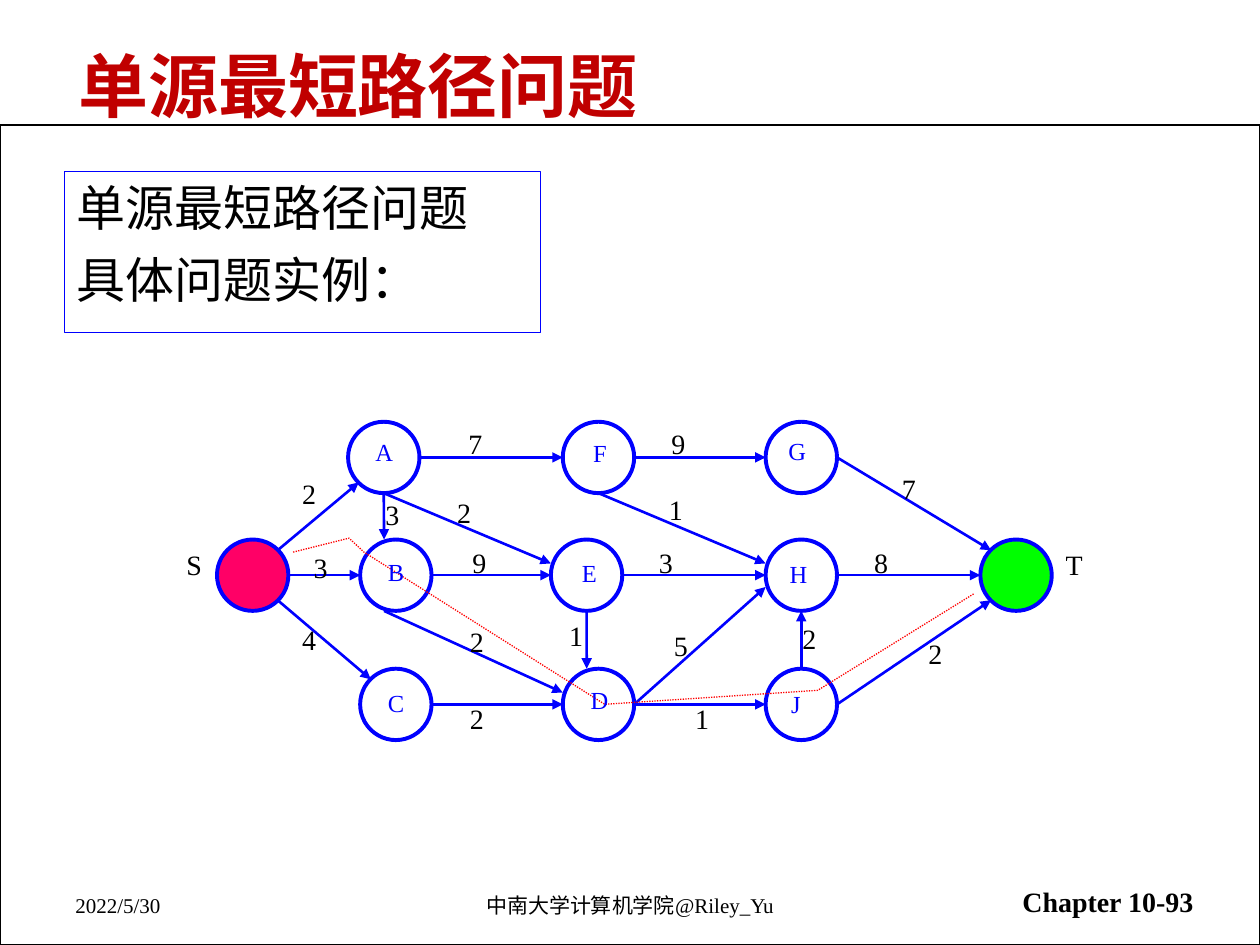
from lxml.etree import SubElement
from pptx import Presentation
from pptx.dml.color import RGBColor
from pptx.enum.dml import MSO_LINE
from pptx.enum.shapes import MSO_CONNECTOR, MSO_SHAPE
from pptx.enum.text import MSO_ANCHOR as ANCHOR, MSO_AUTO_SIZE as AUTO, PP_ALIGN as ALIGN
from pptx.oxml.ns import qn
from pptx.util import Pt

SERIF = "Times New Roman"
BLUE, BLACK = "0000FF", "000000"


def rgb(color):
    return RGBColor.from_string(color)


def add_label(text, left, top, width, height, size, color=BLACK, align=ALIGN.LEFT,
              anchor=ANCHOR.TOP, bold=False, wrap=True):
    box = slide.shapes.add_textbox(Pt(left), Pt(top), Pt(width), Pt(height))
    frame = box.text_frame
    frame.auto_size = AUTO.NONE
    frame.word_wrap = wrap
    frame.vertical_anchor = anchor
    paragraph = frame.paragraphs[0]
    paragraph.text = text
    paragraph.alignment = align
    font = paragraph.font
    font.name, font.size, font.bold = SERIF, Pt(size), bold
    font.color.rgb = rgb(color)


prs = Presentation()
prs.slide_width, prs.slide_height = Pt(720), Pt(540)
slide = prs.slides.add_slide(prs.slide_layouts[5])

# Title and the frame behind everything
title = slide.shapes.title
title.left, title.top, title.width, title.height = Pt(37.5), Pt(20), Pt(612), Pt(57)
title.text_frame.text = "单源最短路径问题"
title.text_frame.vertical_anchor = ANCHOR.MIDDLE
title.text_frame.auto_size = AUTO.NONE
heading = title.text_frame.paragraphs[0]
heading.alignment = ALIGN.LEFT
heading.font.name, heading.font.size, heading.font.bold = SERIF, Pt(40), True
heading.font.color.rgb = rgb("C00000")

page_frame = slide.shapes.add_shape(MSO_SHAPE.RECTANGLE, 0, Pt(71.5), Pt(720), Pt(468.5))
page_frame.shadow.inherit = False
page_frame.fill.solid()
page_frame.fill.fore_color.rgb = rgb("FFFFFF")
page_frame.line.color.rgb = rgb(BLACK)
page_frame.line.width = Pt(0.75)
title.element.addprevious(page_frame.element)

# Problem statement
statement = slide.shapes.add_textbox(Pt(36.75), Pt(98), Pt(272), Pt(92))
statement.line.color.rgb = rgb(BLUE)
statement.line.width = Pt(0.5)
statement.text_frame.word_wrap = True
statement.text_frame.text = "单源最短路径问题\n具体问题实例："
for paragraph in statement.text_frame.paragraphs:
    paragraph.font.name, paragraph.font.size = "Noto Sans CJK SC", Pt(28)
    paragraph.font.color.rgb = rgb(BLACK)
statement.text_frame.paragraphs[1].space_before = Pt(7.5)

# Graph nodes: centre x, centre y, fill
R = 20.4
TOP, MIDDLE, BOTTOM = 261.4, 328.7, 402.5
nodes = {
    "S": (144.4, MIDDLE, "FF0066"), "B": (226.2, MIDDLE, None),
    "E": (335.2, MIDDLE, None), "H": (457.9, MIDDLE, None),
    "T": (580.6, MIDDLE, "00FF00"), "A": (219.3, TOP, None),
    "F": (342, TOP, None), "G": (457.9, TOP, None),
    "C": (226.2, BOTTOM, None), "D": (342, BOTTOM, None),
    "J": (457.9, BOTTOM, None),
}
for x, y, fill in nodes.values():
    circle = slide.shapes.add_shape(MSO_SHAPE.OVAL, Pt(x - R), Pt(y - R), Pt(2 * R), Pt(2 * R))
    circle.shadow.inherit = False
    if fill:
        circle.fill.solid()
        circle.fill.fore_color.rgb = rgb(fill)
    else:
        circle.fill.background()
    circle.line.color.rgb = rgb(BLUE)
    circle.line.width = Pt(2.25)

# Points on a node's outline, in radii from its centre
ports = {
    "n": (0, -1), "s": (0, 1), "e": (1, 0), "w": (-1, 0),
    "ne": (0.7, -0.7), "se": (0.7, 0.7), "nw": (-0.7, -0.7), "sw": (-0.7, 0.7),
    "wnw": (-1, -0.33), "wsw": (-1, 0.33), "nnw": (-0.33, -1), "ssw": (-0.33, 1),
}
# Edges: start, port, end, port, weight, left and top of the weight
edges = [
    ("S", "ne", "A", "sw", 2, 165.6, 268.6), ("S", "e", "B", "w", 3, 172.1, 311),
    ("S", "se", "C", "nw", 4, 165.6, 352.1), ("B", "e", "E", "w", 9, 262.8, 308.2),
    ("E", "e", "H", "w", 3, 369.4, 308.2), ("H", "e", "T", "w", 8, 492.5, 308.2),
    ("C", "e", "D", "w", 2, 261.4, 397.4), ("D", "e", "J", "w", 1, 390.2, 397.4),
    ("J", "e", "T", "sw", 2, 523.4, 360), ("A", "e", "F", "w", 7, 260.6, 240.5),
    ("F", "e", "G", "w", 9, 376.6, 240.5), ("G", "e", "T", "nw", 7, 508.3, 265.7),
    ("F", "s", "H", "wnw", 1, 375.1, 277.9), ("D", "e", "H", "wsw", 5, 378, 355.7),
    ("E", "s", "D", "nnw", 1, 318.2, 349.9), ("A", "s", "B", "nnw", 3, 213.1, 280.8),
    ("A", "s", "E", "wnw", 2, 254.2, 279.4), ("B", "ssw", "D", "wnw", 2, 261.4, 353.5),
    ("J", "n", "H", "s", 2, 451.4, 351.4),
]
for start, out_port, end, in_port, weight, left, top in edges:
    (x1, y1), (x2, y2) = [
        (nodes[node][0] + R * ports[port][0], nodes[node][1] + R * ports[port][1])
        for node, port in ((start, out_port), (end, in_port))
    ]
    arrow = slide.shapes.add_connector(MSO_CONNECTOR.STRAIGHT, Pt(x1), Pt(y1), Pt(x2), Pt(y2))
    arrow.line.color.rgb = rgb(BLUE)
    arrow.line.width = Pt(1.5)
    SubElement(arrow.line._get_or_add_ln(), qn("a:tailEnd"), type="triangle")
    SubElement(arrow.element.spPr, qn("a:effectLst"))
    add_label(str(weight), left, top, 23.8, 26.6, 16, wrap=False)

add_label("S", 99.4, 309.6, 25.2, 26.6, 16, wrap=False)
add_label("T", 601.9, 309.6, 24.5, 26.6, 16, wrap=False)

# Shortest path
route = [(167.5, 315.5), (199.5, 307.5), (208, 315.5), (345.6, 402.5), (467.3, 394.5), (556.5, 339.3)]
builder = slide.shapes.build_freeform(Pt(route[0][0]), Pt(route[0][1]))
builder.add_line_segments([(Pt(x), Pt(y)) for x, y in route[1:]], close=False)
shortest_path = builder.convert_to_shape()
shortest_path.shadow.inherit = False
shortest_path.fill.background()
shortest_path.line.color.rgb = rgb("FF0000")
shortest_path.line.width = Pt(0.75)
shortest_path.line.dash_style = MSO_LINE.ROUND_DOT

# Node letters
letters = {
    "A": (207.4, 246.2), "B": (214.6, 314.6), "C": (214.6, 389.5),
    "D": (330.5, 388.1), "E": (325.4, 315.4), "F": (331.9, 247),
    "G": (443.5, 245.5), "H": (444.2, 316.1), "J": (445, 390.2),
}
for letter, (left, top) in letters.items():
    add_label(letter, left, top, 40.3, 24.5, 14, BLUE)

# Footer
add_label("2022/5/30", 36, 492, 168, 36, 12, anchor=ANCHOR.BOTTOM)
add_label("中南大学计算机学院@Riley_Yu", 246, 492, 228, 36, 12, align=ALIGN.CENTER, anchor=ANCHOR.BOTTOM)
add_label("Chapter 10-93", 516, 485.5, 173, 42.5, 16, align=ALIGN.RIGHT, anchor=ANCHOR.BOTTOM, bold=True)

prs.save("out.pptx")
